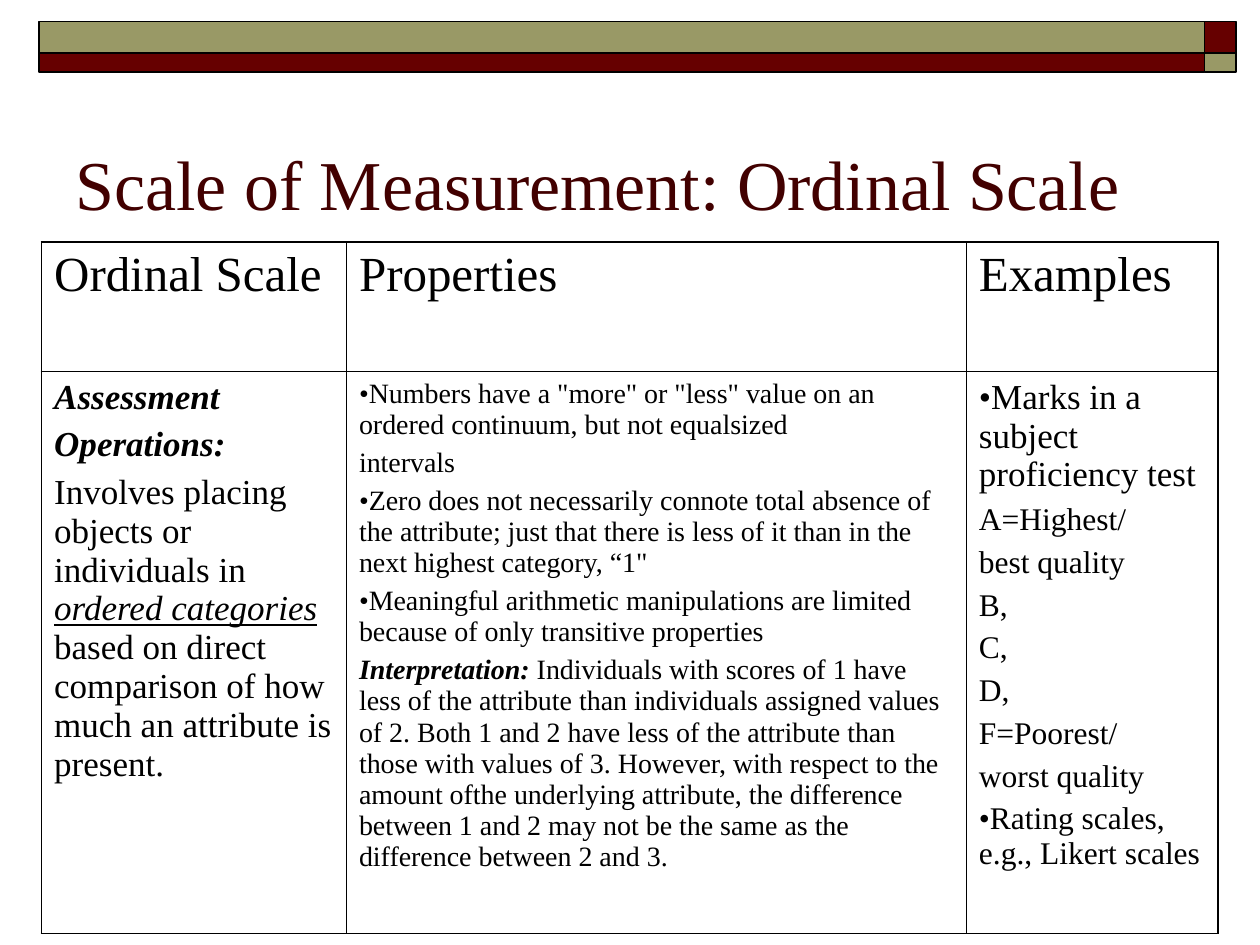
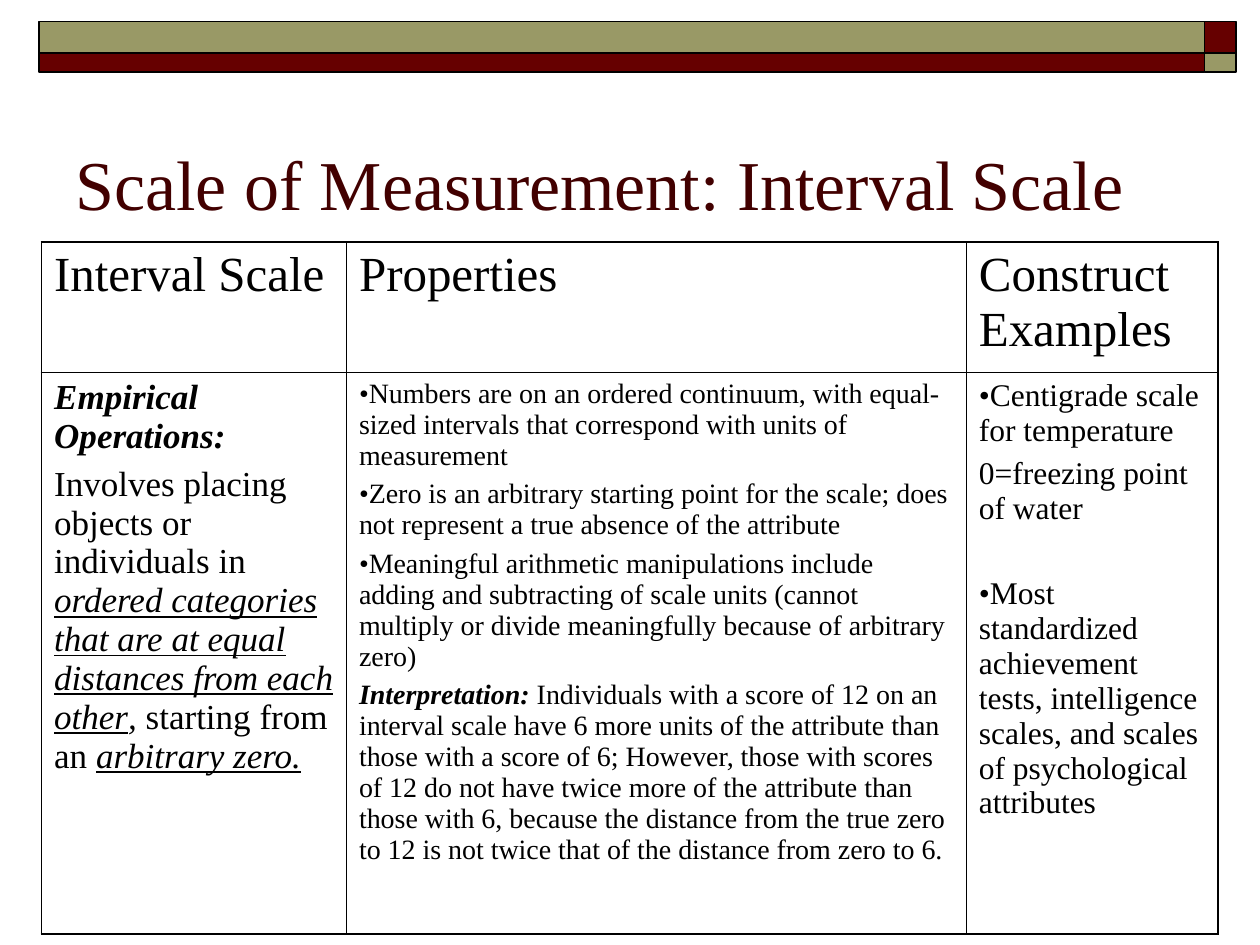
from lxml import etree
from pptx import Presentation
from pptx.dml.color import RGBColor
from pptx.enum.shapes import MSO_CONNECTOR, MSO_SHAPE
from pptx.enum.text import MSO_ANCHOR
from pptx.oxml.ns import qn
from pptx.util import Inches, Pt

RECTANGLE = MSO_SHAPE.RECTANGLE
STRAIGHT = MSO_CONNECTOR.STRAIGHT
BOTTOM = MSO_ANCHOR.BOTTOM

# Content: a paragraph is (size, run, ...), a run is text or (text, style) with
# style letters b, i, u; None leaves a blank line's gap before the next paragraph.
SLIDES = [
    {
        "title": "Scale of Measurement: Ordinal Scale",
        "headings": ["Ordinal Scale", "Properties", "Examples"],
        "details": [
            [
                (20, ("Assessment", "bi")),
                (20, ("Operations:", "bi")),
                (20, "Involves placing objects or individuals in ",
                 ("ordered categories", "iu"),
                 " based on direct comparison of how much an attribute is present."),
            ],
            [
                (16, '•Numbers have a "more" or "less" value on an ordered '
                     'continuum, but not equalsized'),
                (16, "intervals"),
                (16, "•Zero does not necessarily connote total absence of the "
                     "attribute; just that there is less of it than in the next "
                     "highest category, “1\""),
                (16, "•Meaningful arithmetic manipulations are limited because "
                     "of only transitive properties"),
                (16, ("Interpretation:", "bi"),
                 " Individuals with scores of 1 have less of the attribute than "
                 "individuals assigned values of 2. Both 1 and 2 have less of the "
                 "attribute than those with values of 3. However, with respect to "
                 "the amount ofthe underlying attribute, the difference between 1 "
                 "and 2 may not be the same as the difference between 2 and 3."),
            ],
            [
                (20, "•Marks in a subject proficiency test"),
                (18, "A=Highest/"),
                (18, "best quality"),
                (18, "B,"),
                (18, "C,"),
                (18, "D,"),
                (18, "F=Poorest/"),
                (18, "worst quality"),
                (18, "•Rating scales, e.g., Likert scales"),
            ],
        ],
    },
    {
        "title": "Scale of Measurement: Interval Scale",
        "headings": ["Interval Scale", "Properties", "Construct Examples"],
        "details": [
            [
                (20, ("Empirical Operations:", "bi")),
                (20, "Involves placing objects or individuals in ",
                 ("ordered categories that are at equal distances from each other", "iu"),
                 (",", "i"), " starting from an ", ("arbitrary zero.", "iu")),
            ],
            [
                (16, "•Numbers are on an ordered continuum, with equal-sized "
                     "intervals that correspond with units of measurement"),
                (16, "•Zero is an arbitrary starting point for the scale; does "
                     "not represent a true absence of the attribute"),
                (16, "•Meaningful arithmetic manipulations include adding and "
                     "subtracting of scale units (cannot multiply or divide "
                     "meaningfully because of arbitrary zero)"),
                (16, ("Interpretation:", "bi"),
                 " Individuals with a score of 12 on an interval scale have 6 more "
                 "units of the attribute than those with a score of 6; However, "
                 "those with scores of 12 do not have twice more of the attribute "
                 "than those with 6, because the distance from the true zero to 12 "
                 "is not twice that of the distance from zero to 6."),
            ],
            [
                (18, "•Centigrade scale for temperature"),
                (18, "0=freezing point of water"),
                None,
                (18, "•Most standardized achievement tests, intelligence scales, "
                     "and scales of psychological attributes"),
            ],
        ],
    },
]

# Shared look
FONT = "Times New Roman"
BLACK = RGBColor(0x00, 0x00, 0x00)
MAROON = RGBColor(0x66, 0x00, 0x00)
OLIVE = RGBColor(0x99, 0x99, 0x66)
TITLE_COLOR = RGBColor(0x42, 0x00, 0x00)
TITLE_SIZE, HEADING_SIZE = 40, 28
SPACE_SHARE = 0.25    # space before a paragraph, as a share of its size
BLANK_SHARE = 1.36    # a skipped line together with its own space
OUTER_RULE, INNER_RULE = 1.08, 0.45

# Grid, in inches
SLIDE_WIDTH, SLIDE_HEIGHT = 10, 7.5
BAND_LEFT, BAND_TOP = 0.31, 0.17
BAND_WIDTHS, BAND_HEIGHTS = [9.25, 0.25], [0.25, 0.15]
TITLE_BOX = (0.5, 0.58, 9, 1.25)
RULE_LEFT, RULE_RIGHT = 0.5, 9.58
TABLE_LEFT, TABLE_TOP = 0.33, 1.92
COLUMN_WIDTHS, ROW_HEIGHTS = [2.42, 4.92, 2], [1.03, 4.46]


def inches(*lengths):
    return [Inches(length) for length in lengths]


def style_run(run, size, color=BLACK, style=""):
    font = run.font
    font.name, font.size = FONT, Pt(size)
    font.color.rgb = color
    font.bold, font.italic, font.underline = ("b" in style, "i" in style, "u" in style)


def add_bands(slide):
    """Checkerboard of two olive and two maroon bars, with the title rule."""
    for row, height in enumerate(BAND_HEIGHTS):
        for column, width in enumerate(BAND_WIDTHS):
            left = BAND_LEFT + sum(BAND_WIDTHS[:column])
            top = BAND_TOP + sum(BAND_HEIGHTS[:row])
            band = slide.shapes.add_shape(RECTANGLE, *inches(left, top, width, height))
            band.shadow.inherit = False
            band.fill.solid()
            band.fill.fore_color.rgb = MAROON if (row + column) % 2 else OLIVE
            band.line.color.rgb = BLACK
            band.line.width = Pt(1)
    rule = slide.shapes.add_connector(
        STRAIGHT, *inches(RULE_RIGHT, TABLE_TOP, RULE_LEFT, TABLE_TOP))
    rule.line.color.rgb = BLACK
    rule.line.width = Pt(1)
    etree.SubElement(rule._element.spPr, qn("a:effectLst"))


def add_title(slide, title):
    frame = slide.shapes.add_textbox(*inches(*TITLE_BOX)).text_frame
    frame.word_wrap = True
    frame.vertical_anchor = BOTTOM
    frame.text = title
    style_run(frame.paragraphs[0].runs[0], TITLE_SIZE, TITLE_COLOR)


def fill_cell(cell, paragraphs):
    frame = cell.text_frame
    space = 0
    for number, content in enumerate(paragraphs):
        if content is None:
            space = BLANK_SHARE
            continue
        size, *runs = content
        paragraph = frame.add_paragraph() if number else frame.paragraphs[0]
        if number:
            paragraph.space_before = Pt(size * (space + SPACE_SHARE))
        space = 0
        for item in runs:
            text, style = (item, "") if isinstance(item, str) else item
            run = paragraph.add_run()
            run.text = text
            style_run(run, size, style=style)


def set_borders(cell, row, column):
    outer_sides = {
        "lnL": column == 0,
        "lnR": column == len(COLUMN_WIDTHS) - 1,
        "lnT": row == 0,
        "lnB": row == len(ROW_HEIGHTS) - 1,
    }
    properties = cell._tc.get_or_add_tcPr()
    for side, is_outer in outer_sides.items():
        width = Pt(OUTER_RULE if is_outer else INNER_RULE)
        border = etree.SubElement(properties, qn(f"a:{side}"), w=str(width))
        fill = etree.SubElement(border, qn("a:solidFill"))
        etree.SubElement(fill, qn("a:srgbClr"), val=str(BLACK))


def add_scale_table(slide, headings, details):
    rows = [[[(HEADING_SIZE, heading)] for heading in headings], details]
    table = slide.shapes.add_table(
        len(ROW_HEIGHTS), len(COLUMN_WIDTHS),
        *inches(TABLE_LEFT, TABLE_TOP, sum(COLUMN_WIDTHS), sum(ROW_HEIGHTS))).table
    table.first_row = table.horz_banding = False
    for column, width in zip(table.columns, COLUMN_WIDTHS):
        column.width = Inches(width)
    for row, height in zip(table.rows, ROW_HEIGHTS):
        row.height = Inches(height)
    for row, contents in enumerate(rows):
        for column, paragraphs in enumerate(contents):
            cell = table.cell(row, column)
            fill_cell(cell, paragraphs)
            set_borders(cell, row, column)
            cell.fill.background()


def main():
    deck = Presentation()
    deck.slide_width, deck.slide_height = inches(SLIDE_WIDTH, SLIDE_HEIGHT)
    blank = deck.slide_layouts[6]
    for content in SLIDES:
        slide = deck.slides.add_slide(blank)
        add_bands(slide)
        add_title(slide, content["title"])
        add_scale_table(slide, content["headings"], content["details"])
    deck.save("out.pptx")


if __name__ == "__main__":
    main()
